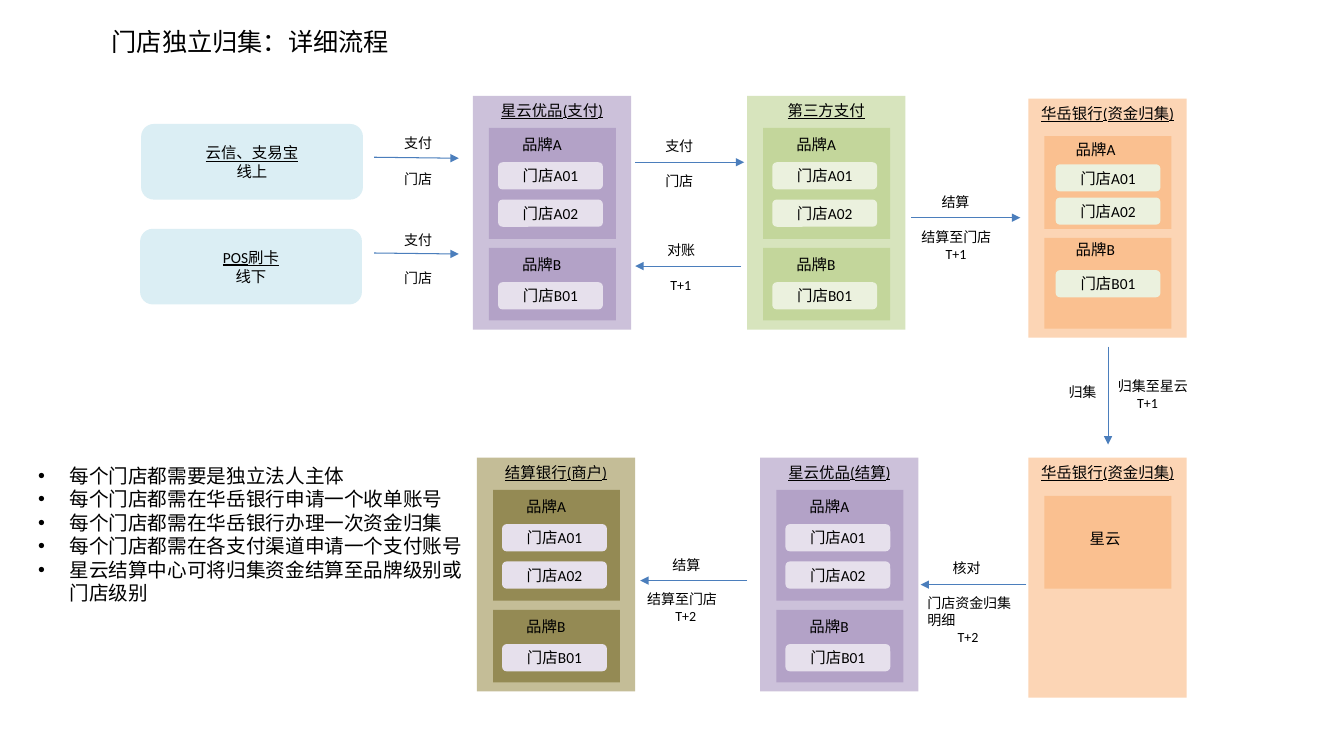
from dataclasses import dataclass

from lxml import etree
from pptx import Presentation
from pptx.dml.color import RGBColor
from pptx.enum.shapes import MSO_CONNECTOR, MSO_SHAPE
from pptx.enum.text import MSO_ANCHOR, PP_ALIGN
from pptx.oxml.ns import qn
from pptx.util import Inches, Pt

RECT = MSO_SHAPE.RECTANGLE
ROUND = MSO_SHAPE.ROUNDED_RECTANGLE
STRAIGHT = MSO_CONNECTOR.STRAIGHT
MIDDLE = MSO_ANCHOR.MIDDLE
TOP = MSO_ANCHOR.TOP
CENTER = PP_ALIGN.CENTER
LEFT = PP_ALIGN.LEFT


@dataclass(frozen=True)
class Theme:
    font: str = "Calibri"
    ink: str = "000000"
    line: str = "4B7EBC"
    source: str = "DBEEF4"
    # Each panel colour set: outer, brand block, store
    purple: tuple = ("CCC1DA", "B3A2C7", "E6E0EC")
    green: tuple = ("D7E4BD", "C3D69B", "EBF1DE")
    orange: tuple = ("FCD5B5", "FAC090", "EBF1DE")
    olive: tuple = ("C4BD97", "948A54", "E6E0EC")
    title: int = 18
    note: int = 14
    body: int = 11
    small: int = 10


@dataclass(frozen=True)
class Plan:
    """Offsets inside a panel; a block is (top, height, label top, store tops)."""
    height: float
    label: float
    store: float
    blocks: tuple


THEME = Theme()
NORMAL = Plan(2.32, 0.39, 0.25, ((0.32, 1.1, 0.34, (0.66, 1.03)),
                                 (1.51, 0.72, 1.53, (1.85,))))
BANK = Plan(2.37, 0.37, 0.27, ((0.37, 0.92, 0.36, (0.65, 0.98)),
                               (1.38, 0.9, 1.35, (1.7,))))
BRANDS = (("品牌A", ("门店A01", "门店A02")), ("品牌B", ("门店B01",)))
WIDTH = 1.57


def add_run(para, words, size, under=False):
    run = para.add_run()
    run.text = words
    run.font.name = THEME.font
    run.font.size = Pt(size)
    run.font.color.rgb = RGBColor.from_string(THEME.ink)
    run.font.underline = under


def add_box(slide, kind, x, y, w, h, color):
    box = slide.shapes.add_shape(kind, Inches(x), Inches(y), Inches(w), Inches(h))
    box.shadow.inherit = False
    box.fill.solid()
    box.fill.fore_color.rgb = RGBColor.from_string(color)
    box.line.fill.background()
    frame = box.text_frame
    frame.word_wrap = True
    frame.vertical_anchor = MIDDLE
    frame.paragraphs[0].alignment = CENTER
    return frame


def add_text(slide, x, y, w, h, words, size, align=LEFT, under=False):
    box = slide.shapes.add_textbox(Inches(x), Inches(y), Inches(w), Inches(h))
    frame = box.text_frame
    frame.word_wrap = True
    frame.vertical_anchor = TOP
    para = frame.paragraphs[0]
    para.alignment = align
    if words:
        add_run(para, words, size, under)
    return frame


def add_arrow(slide, x1, y1, x2, y2):
    link = slide.shapes.add_connector(STRAIGHT, Inches(x1), Inches(y1),
                                      Inches(x2), Inches(y2))
    link.line.color.rgb = RGBColor.from_string(THEME.line)
    link.line.width = Pt(0.75)
    props = link.line._get_or_add_ln()
    etree.SubElement(props, qn("a:tailEnd"), type="triangle")
    etree.SubElement(link._element.spPr, qn("a:effectLst"))


def add_source(slide, x, y, head, mode):
    para = add_box(slide, ROUND, x, y, 2.2, 0.75, THEME.source).paragraphs[0]
    add_run(para, head, THEME.body, True)
    para.add_line_break()
    add_run(para, mode, THEME.body)


def add_title(slide, x, y, words):
    add_text(slide, x, y, WIDTH, 0.29, words, THEME.body, CENTER, True)


def add_panel(slide, x, y, title, colors, plan=NORMAL):
    """Draw a party with its brands and their stores."""
    outer, inner, pale = colors
    add_box(slide, RECT, x, y, WIDTH, plan.height, outer)
    for (brand, stores), (top, height, label, tops) in zip(BRANDS, plan.blocks):
        add_box(slide, RECT, x + 0.16, y + top, 1.26, height, inner)
        add_text(slide, x + plan.label, y + label, 0.84, 0.29, brand, THEME.body)
        for store, spot in zip(stores, tops):
            frame = add_box(slide, ROUND, x + plan.store, y + spot, 1.04, 0.27, pale)
            add_run(frame.paragraphs[0], store, THEME.body)
    add_title(slide, x, y, title)


def add_pool(slide, x, y, title, owner):
    """Draw the bank account that gathers the money."""
    outer, inner, _ = THEME.orange
    add_box(slide, RECT, x, y, WIDTH, 2.38, outer)
    add_box(slide, RECT, x + 0.16, y + 0.38, 1.26, 0.92, inner)
    add_text(slide, x + 0.51, y + 0.66, 0.7, 0.29, owner, THEME.body)
    add_title(slide, x, y, title)


def add_terms(slide, x, y, w, words, day, indent):
    """Draw the terms of a transfer, with the day set in from the left."""
    frame = add_text(slide, x, y, w, 0.44 if words else 0.27, words, THEME.small)
    para = frame.add_paragraph() if words else frame.paragraphs[0]
    para._p.get_or_add_pPr().set("marL", str(Inches(indent)))
    add_run(para, day, THEME.small)


def add_notes(slide, x, y, w, h, notes):
    frame = add_text(slide, x, y, w, h, "", THEME.note)
    for i, note in enumerate(notes):
        para = frame.add_paragraph() if i else frame.paragraphs[0]
        props = para._p.get_or_add_pPr()
        props.set("marL", str(Inches(0.31)))
        props.set("indent", str(Inches(-0.31)))
        etree.SubElement(props, qn("a:buFont"), typeface="Arial")
        etree.SubElement(props, qn("a:buChar"), char="•")
        add_run(para, note, THEME.note)


def main():
    deck = Presentation()
    deck.slide_width, deck.slide_height = Inches(13.33), Inches(7.5)
    slide = deck.slides.add_slide(deck.slide_layouts[6])

    add_text(slide, 1.01, 0.21, 4.86, 0.4, "门店独立归集：详细流程", THEME.title)
    add_source(slide, 1.4, 1.23, "云信、支易宝", "线上")
    add_source(slide, 1.39, 2.27, "POS刷卡", "线下")

    add_panel(slide, 4.69, 0.95, "星云优品(支付)", THEME.purple)
    add_panel(slide, 7.41, 0.95, "第三方支付", THEME.green)
    add_panel(slide, 10.2, 0.98, "华岳银行(资金归集)", THEME.orange, BANK)
    add_panel(slide, 4.73, 4.54, "结算银行(商户)", THEME.olive)
    add_panel(slide, 7.54, 4.54, "星云优品(结算)", THEME.purple)
    add_pool(slide, 10.2, 4.54, "华岳银行(资金归集)", "星云")

    for ends in ((3.71, 1.56, 4.55, 1.57), (3.71, 2.51, 4.55, 2.52),
                 (6.3, 1.61, 7.38, 1.61), (7.35, 2.64, 6.3, 2.64),
                 (9.04, 2.16, 10.12, 2.16), (10.99, 3.44, 10.99, 4.41),
                 (10.18, 5.8, 9.13, 5.8), (7.41, 5.76, 6.35, 5.76)):
        add_arrow(slide, *ends)

    for x, y, words in ((3.91, 1.29, "支付"), (3.91, 1.64, "门店"),
                        (3.91, 2.25, "支付"), (3.91, 2.62, "门店"),
                        (6.5, 1.32, "支付"), (6.5, 1.66, "门店"),
                        (6.52, 2.35, "对账"), (9.24, 1.87, "结算"),
                        (10.5, 3.76, "归集"), (9.35, 5.5, "核对"),
                        (6.57, 5.47, "结算")):
        add_text(slide, x, y, 0.5, 0.27, words, THEME.small)

    add_terms(slide, 6.27, 2.69, 1.09, "", "T+1", 0.28)
    add_terms(slide, 9.04, 2.22, 1.08, "结算至门店", "T+1", 0.24)
    add_terms(slide, 10.99, 3.7, 0.97, "归集至星云", "T+1", 0.19)
    add_terms(slide, 9.1, 5.85, 1.09, "门店资金归集明细", "T+2", 0.3)
    add_terms(slide, 6.32, 5.81, 1.09, "结算至门店", "T+2", 0.28)

    add_notes(slide, 0.28, 4.55, 4.41, 1.51, (
        "每个门店都需要是独立法人主体",
        "每个门店都需在华岳银行申请一个收单账号",
        "每个门店都需在华岳银行办理一次资金归集",
        "每个门店都需在各支付渠道申请一个支付账号",
        "星云结算中心可将归集资金结算至品牌级别或门店级别"))
    deck.save("out.pptx")


if __name__ == "__main__":
    main()
